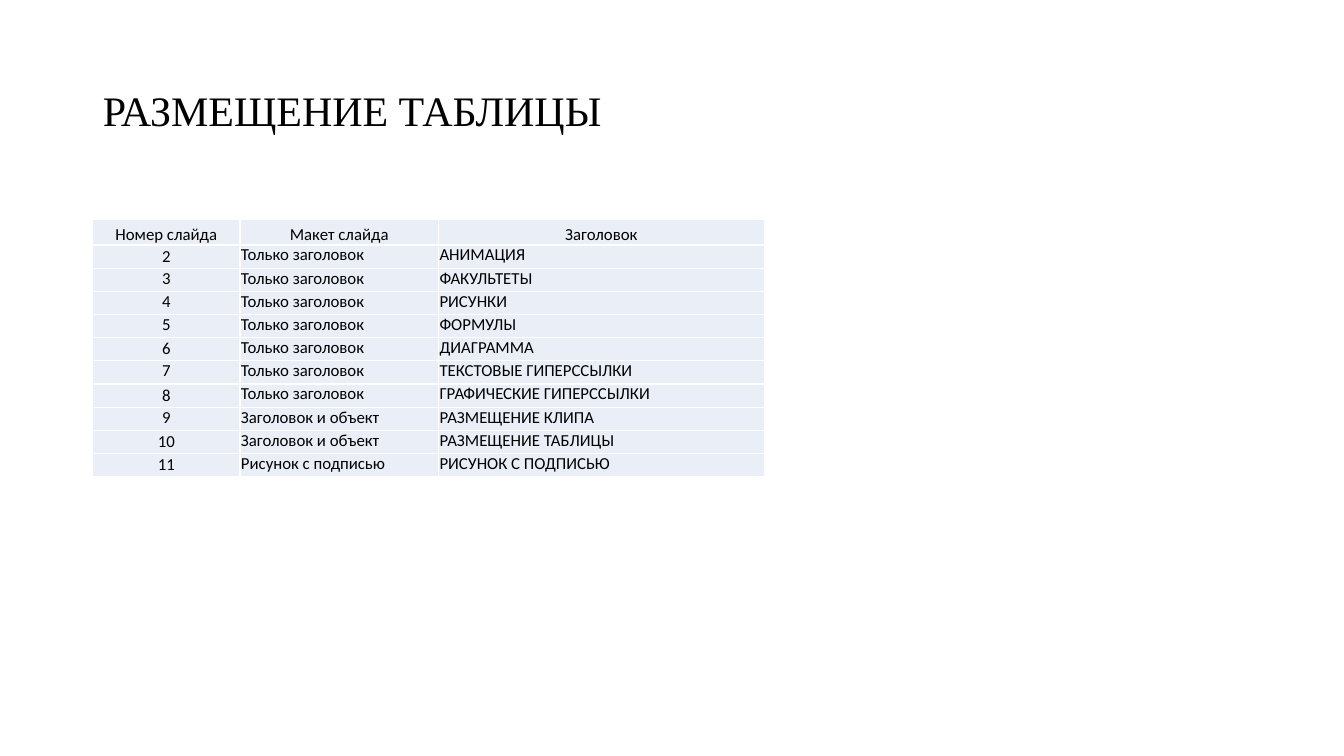
from pptx import Presentation
from pptx.dml.color import RGBColor as Rgb
from pptx.enum.text import MSO_ANCHOR as Anchor, PP_ALIGN as Align
from pptx.oxml import parse_xml
from pptx.oxml.ns import nsdecls
from pptx.util import Inches, Pt

INK = {"text": "000000", "cell": "EAEFF7", "edge": "FFFFFF"}
WIDE, HIGH = 13.33, 7.5
LEFT = 0.92
COLS = [1.46, 1.97, 3.23]
HEAD, ROW = 0.25, 0.23
ONLY, BOTH = "Только заголовок", "Заголовок и объект"
HEADS = ["Номер слайда", "Макет слайда", "Заголовок"]
PLAN = [
    (ONLY, "АНИМАЦИЯ"),
    (ONLY, "ФАКУЛЬТЕТЫ"),
    (ONLY, "РИСУНКИ"),
    (ONLY, "ФОРМУЛЫ"),
    (ONLY, "ДИАГРАММА"),
    (ONLY, "ТЕКСТОВЫЕ ГИПЕРССЫЛКИ"),
    (ONLY, "ГРАФИЧЕСКИЕ ГИПЕРССЫЛКИ"),
    (BOTH, "РАЗМЕЩЕНИЕ КЛИПА"),
    (BOTH, "РАЗМЕЩЕНИЕ ТАБЛИЦЫ"),
    ("Рисунок с подписью", "РИСУНОК С ПОДПИСЬЮ"),
]
MIDDLE = {"2", "6", "8", "10", "11"}


def style(frame, face, size, align):
    for par in frame.paragraphs:
        par.alignment = align
        for run in par.runs:
            run.font.name = face
            run.font.size = Pt(size)
            run.font.bold = False
            run.font.color.rgb = Rgb.from_string(INK["text"])


def add_title(slide, text):
    title = slide.shapes.title
    title.left, title.top = Inches(LEFT), Inches(0.4)
    title.width, title.height = Inches(11.5), Inches(1.45)
    frame = title.text_frame
    frame.text = text
    frame.vertical_anchor = Anchor.MIDDLE
    style(frame, "Times New Roman", 30, Align.LEFT)
    frame.paragraphs[0].line_spacing = 0.9


def add_edges(cell):
    props = cell._tc.get_or_add_tcPr()
    for spot, side in enumerate(("lnL", "lnR", "lnT", "lnB")):
        props.insert(spot, parse_xml(
            f'<a:{side} {nsdecls("a")} w="12700"><a:solidFill>'
            f'<a:srgbClr val="{INK["edge"]}"/></a:solidFill></a:{side}>'))


def fill_cell(cell, text, align, anchor):
    cell.text = text
    cell.margin_left = cell.margin_right = Inches(0.01)
    cell.margin_top = cell.margin_bottom = 0
    cell.vertical_anchor = anchor
    cell.fill.solid()
    cell.fill.fore_color.rgb = Rgb.from_string(INK["cell"])
    style(cell.text_frame, "Calibri", 12, align)
    add_edges(cell)


def add_grid(slide, rows):
    highs = [HEAD] + [ROW] * (len(rows) - 1)
    grid = slide.shapes.add_table(
        len(rows), len(COLS), Inches(LEFT), Inches(2.18),
        Inches(sum(COLS)), Inches(sum(highs))).table
    grid.horz_banding = False
    for col, wide in zip(grid.columns, COLS):
        col.width = Inches(wide)
    for row, high in zip(grid.rows, highs):
        row.height = Inches(high)
    for r, row in enumerate(rows):
        for c, text in enumerate(row):
            align = Align.CENTER if r == 0 or c == 0 else Align.LEFT
            anchor = Anchor.TOP
            if r == 0:
                anchor = Anchor.BOTTOM
            elif text in MIDDLE:
                anchor = Anchor.MIDDLE
            fill_cell(grid.cell(r, c), text, align, anchor)


def main():
    deck = Presentation()
    deck.slide_width, deck.slide_height = Inches(WIDE), Inches(HIGH)
    slide = deck.slides.add_slide(deck.slide_layouts[5])
    add_title(slide, "РАЗМЕЩЕНИЕ ТАБЛИЦЫ")
    body = [(str(n), *pair) for n, pair in enumerate(PLAN, 2)]
    add_grid(slide, [HEADS] + body)
    deck.save("out.pptx")


main()
